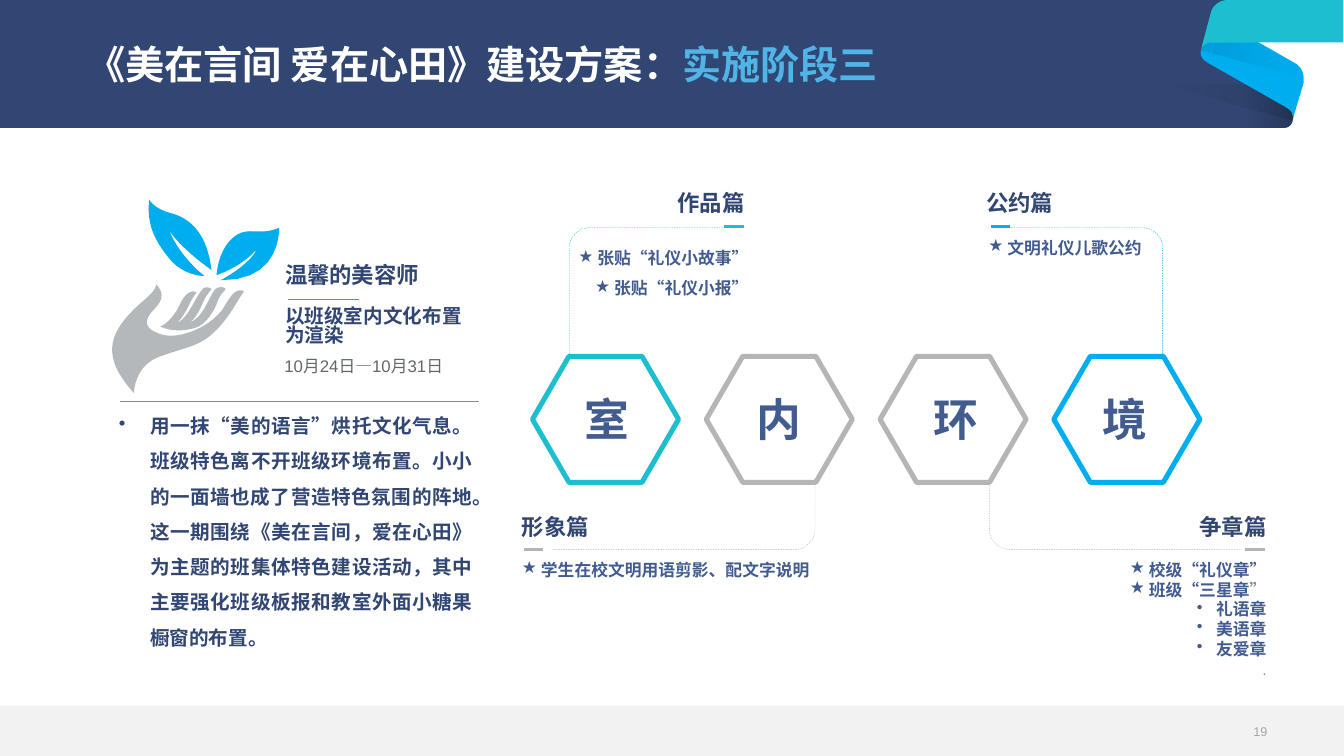
import pptx
import pptx.util
import pptx.dml.color
import pptx.enum.dml
import pptx.enum.lang
import pptx.enum.shapes
import pptx.enum.text
import pptx.oxml.ns
from lxml import etree

Inches, Pt = pptx.util.Inches, pptx.util.Pt
RGBColor = pptx.dml.color.RGBColor
Align, Anchor = pptx.enum.text.PP_ALIGN, pptx.enum.text.MSO_ANCHOR
qn = pptx.oxml.ns.qn

NAVY = RGBColor(0x31, 0x46, 0x72)
INDIGO = RGBColor(0x42, 0x5C, 0x90)
BLUE = RGBColor(0x00, 0xAD, 0xEF)
SKY = RGBColor(0x50, 0xB4, 0xE7)
TEAL = RGBColor(0x1D, 0xBE, 0xD0)
SILVER = RGBColor(0xB5, 0xB5, 0xB5)
GREY = RGBColor(0x85, 0x89, 0x8F)
DATE_GREY = RGBColor(0x63, 0x67, 0x6C)
PAGE_GREY = RGBColor(0xA6, 0xA6, 0xA6)
FOOTER_GREY = RGBColor(0xF2, 0xF2, 0xF2)
WHITE = RGBColor(0xFF, 0xFF, 0xFF)
BLACK = RGBColor(0, 0, 0)

# Outlines in inches: M start, L line, C cubic curve. Each has a colour and its opacity,
# one value for a solid fill and two for a gradient.
BANNER = [
    ("M 0 0 L 12.43 0 L 12.43 0.72 L 12.79 1.08 C 12.83 1.11 12.84 1.15 12.83 1.2 "
     "C 12.82 1.24 12.79 1.27 12.74 1.27 L 0 1.27", NAVY, [100]),
    ("M 11.97 0.61 L 12 0.63 L 12.79 1.08 C 12.83 1.11 12.84 1.15 12.83 1.2 L 12.85 1.12 "
     "L 12.94 0.82 L 12.94 0.78 C 12.94 0.72 12.91 0.66 12.86 0.63 L 12.44 0.39 L 12.02 0.41 "
     "C 11.97 0.41 11.93 0.46 11.92 0.5 C 11.91 0.54 11.93 0.59 11.97 0.61", BLUE, [100]),
    ("M 11.92 0.5 C 11.93 0.46 11.97 0.42 12.02 0.42 L 13.33 0.42 L 13.33 0 L 12.19 0 "
     "C 12.11 0 12.04 0.05 12.02 0.12 L 11.94 0.42", TEAL, [100]),
    ("M 12.37 0.84 L 12.37 1.27 L 12.74 1.27 C 12.79 1.27 12.82 1.24 12.83 1.2 "
     "C 12.84 1.15 12.83 1.11 12.79 1.08", BLACK, [0, 20]),
    ("M 11.52 0.84 L 12.83 1.2 C 12.84 1.15 12.83 1.11 12.79 1.08 L 12.37 0.84", BLACK, [0, 10]),
    ("M 11.92 0.5 L 12.94 0.77 C 12.94 0.72 12.91 0.66 12.86 0.63 L 12.5 0.43 L 12.02 0.43 "
     "C 11.97 0.43 11.93 0.46 11.92 0.5", BLACK, [10, 0]),
]
HAND_AND_LEAVES = [
    ("M 2.15 2.73 C 2.15 2.73 2.16 2.49 2.31 2.36 C 2.46 2.23 2.57 2.35 2.77 2.26 "
     "C 2.77 2.26 2.8 2.79 2.19 2.78 C 2.19 2.78 2.48 2.63 2.55 2.47 "
     "C 2.55 2.47 2.43 2.63 2.15 2.73", BLUE, [100]),
    ("M 2.03 2.74 C 2.03 2.74 1.8 2.74 1.66 2.54 C 1.51 2.35 1.46 2.2 1.48 1.98 "
     "C 1.48 1.98 1.53 2.07 1.68 2.11 C 1.84 2.15 2.05 2.26 2.1 2.68 "
     "C 2.1 2.68 1.81 2.48 1.68 2.29 C 1.68 2.29 1.77 2.53 2.03 2.74", BLUE, [100]),
    ("M 1.55 2.82 C 1.55 2.82 1.56 2.87 1.44 2.97 C 1.33 3.06 1.15 3.23 1.12 3.4 "
     "C 1.09 3.57 1.17 3.72 1.33 3.9 C 1.33 3.9 1.33 3.63 1.58 3.54 "
     "C 1.82 3.45 1.98 3.44 2.12 3.3 C 2.27 3.17 2.38 2.94 2.41 2.91 "
     "C 2.44 2.88 2.39 2.87 2.35 2.89 C 2.31 2.9 2.25 3 2.21 3.07 "
     "C 2.16 3.13 2.08 3.22 1.9 3.29 C 1.71 3.36 1.59 3.33 1.5 3.27 "
     "C 1.41 3.2 1.49 3.11 1.53 3.07 C 1.56 3.03 1.67 2.94 1.55 2.82", GREY, [60]),
    ("M 1.59 3.24 C 1.59 3.24 1.7 3.2 1.78 3.03 C 1.86 2.86 1.93 2.89 1.95 2.9 "
     "C 1.95 2.9 1.9 2.97 1.87 3.04 C 1.84 3.1 1.79 3.18 1.75 3.21 "
     "C 1.75 3.21 1.82 3.18 1.88 3.08 C 1.94 2.98 1.99 2.88 2.02 2.86 "
     "C 2.05 2.84 2.1 2.86 2.1 2.87 C 2.1 2.87 2.05 2.92 2.02 2.99 "
     "C 1.99 3.06 1.94 3.17 1.87 3.21 C 1.87 3.21 1.96 3.17 2.01 3.09 "
     "C 2.06 3.02 2.11 2.88 2.15 2.86 C 2.19 2.84 2.23 2.85 2.24 2.87 "
     "C 2.24 2.87 2.18 2.93 2.16 2.99 C 2.14 3.05 2.07 3.19 1.97 3.24 "
     "C 1.88 3.28 1.72 3.3 1.59 3.24", GREY, [60]),
]
# character, its left edge, hexagon colour
HEXAGONS = [("室", 5.7, TEAL), ("内", 7.41, SILVER), ("环", 9.17, SILVER), ("境", 10.85, BLUE)]
HEXAGON_LEFT, HEXAGON_TOP, HEXAGON_PITCH = 5.26, 3.51, 1.725
HEXAGON_WIDTH, HEXAGON_HEIGHT, HEXAGON_STROKE = 1.5, 1.3, 0.05
# far end x, rule y, bend x, hexagon y, colour
BRACKETS = [(5.49, 5.45, 8.09, 4.8, SILVER), (12.31, 5.45, 9.82, 4.8, SILVER),
            (9.84, 2.26, 11.54, 3.53, BLUE), (7.35, 2.26, 5.65, 3.53, TEAL)]
# left, right, y, colour, points
RULES = [(7.19, 7.38, 2.25, TEAL, 2), (9.84, 10.03, 2.25, BLUE, 2), (5.2, 5.39, 5.45, SILVER, 2),
         (12.36, 12.56, 5.45, SILVER, 2), (2.86, 3.56, 2.97, BLUE, 0.25),
         (1.19, 4.75, 3.98, GREY, 0.25)]
# heading, its box, alignment, items as (bullet, runs), their box, line spacing
CHAPTERS = [
    ("作品篇", (5.93, 1.88, 1.46, 0.27), Align.RIGHT,
     [("★", ["张贴“礼仪小故事”"]), ("★", ["张贴“礼仪小报”"])], (5.66, 2.36, 1.77, 0.6), 1.5),
    ("公约篇", (9.79, 1.88, 1.94, 0.27), Align.LEFT,
     [("★", ["文明礼仪儿歌公约"])], (9.81, 2.36, 1.75, 0.19), Pt(14)),
    ("形象篇", (5.18, 5.09, 1.94, 0.27), Align.LEFT,
     [("★", ["学生在校文明用语剪影、配文字说明"])], (5.18, 5.56, 2.87, 0.19), Pt(14)),
    ("争章篇", (10.63, 5.09, 1.94, 0.27), Align.RIGHT,
     [("★", ["校级“礼仪章”"]), ("★", ["班级“三星章", ("”", {"color": GREY})]),
      ("•", ["礼语章"]), ("•", ["美语章"]), ("•", ["友爱章"]),
      ("", [(".", {"color": GREY, "size": 10, "bold": False})])],
     (10.75, 5.56, 1.82, 1.16), Pt(14)),
]
TITLE = ["《美在言间 爱在心田》建设方案：", ("实施阶段三", {"color": SKY})]
PLAN = ("用一抹“美的语言”烘托文化气息。班级特色离不开班级环境布置。小小的一面墙也成了营造特色氛围的阵地。"
        "这一期围绕《美在言间，爱在心田》为主题的班集体特色建设活动，其中主要强化班级板报和教室外面小糖果橱窗的布置。")


def add_text(box, lines, size, color, bold=True, align=Align.LEFT, anchor=Anchor.TOP,
             spacing=None, indent=0, margins=(0, 0), wrap=True, fill=None):
    """Lines are (bullet, runs); a run is a string or (string, format overrides)."""
    shape = slide.shapes.add_textbox(*map(Inches, box))
    if fill is not None:
        shape.fill.solid()
        shape.fill.fore_color.rgb = fill
    frame = shape.text_frame
    frame.word_wrap = wrap
    frame.vertical_anchor = anchor
    frame.margin_left = frame.margin_right = Inches(margins[0])
    frame.margin_top = frame.margin_bottom = Inches(margins[1])
    for index, (bullet, runs) in enumerate(lines):
        paragraph = frame.add_paragraph() if index else frame.paragraphs[0]
        paragraph.alignment = align
        if spacing is not None:
            paragraph.line_spacing = spacing
        if indent:
            properties = paragraph._p.get_or_add_pPr()
            properties.set("marL", str(Inches(indent)))
            properties.set("indent", str(-Inches(indent)))
            if bullet:
                bullet_color = etree.SubElement(properties, qn("a:buClr"))
                etree.SubElement(bullet_color, qn("a:srgbClr"), val=str(color))
                etree.SubElement(properties, qn("a:buChar"), char=bullet)
        for item in runs:
            text, changes = (item, {}) if isinstance(item, str) else item
            run = paragraph.add_run()
            run.text = text
            run.font.name = "Arial"
            run.font.language_id = pptx.enum.lang.MSO_LANGUAGE_ID.SIMPLIFIED_CHINESE
            run.font.size = Pt(changes.get("size", size))
            run.font.bold = changes.get("bold", bold)
            run.font.color.rgb = changes.get("color", color)


def outline_points(outline):
    """Turn M, L and C commands into points, with ten steps to a curve."""
    points = []
    for command in outline.replace("L", "|L").replace("C", "|C").split("|"):
        values = [float(value) for value in command.split()[1:]]
        pairs = list(zip(values[::2], values[1::2]))
        if command.startswith("C"):
            corners = list(zip(points[-1], *pairs))
            for step in range(1, 11):
                t = step / 10
                weights = ((1 - t) ** 3, 3 * t * (1 - t) ** 2, 3 * t * t * (1 - t), t ** 3)
                points.append(tuple(sum(w * c for w, c in zip(weights, axis)) for axis in corners))
        else:
            points += pairs
    return points


def add_outline(outline, close):
    start, *rest = [(Inches(x), Inches(y)) for x, y in outline_points(outline)]
    builder = slide.shapes.build_freeform(*start)
    builder.add_line_segments(rest, close=close)
    shape = builder.convert_to_shape()
    shape.shadow.inherit = False
    return shape


def add_filled(outline, color, opacities):
    shape = add_outline(outline, close=True)
    shape.line.fill.background()
    if len(opacities) == 1:
        shape.fill.solid()
        shape.fill.fore_color.rgb = color
    else:
        shape.fill.gradient()
        shape.fill.gradient_angle = 0
        for stop in shape.fill.gradient_stops:
            stop.color.rgb = color
    for element, opacity in zip(shape._element.spPr.iter(qn("a:srgbClr")), opacities):
        if opacity < 100:
            etree.SubElement(element, qn("a:alpha"), val=str(opacity * 1000))


def add_bracket(far, rule, bend, end, color, radius=0.19):
    x = bend + (radius if far > bend else -radius)
    y = rule + (radius if end > rule else -radius)
    shape = add_outline(f"M {far} {rule} L {x} {rule} C {(x + bend) / 2} {rule} "
                        f"{bend} {(y + rule) / 2} {bend} {y} L {bend} {end}", close=False)
    shape.fill.background()
    shape.line.color.rgb = color
    shape.line.width = Pt(0.25)
    shape.line.dash_style = pptx.enum.dml.MSO_LINE.DASH


def add_rule(left, right, y, color, width):
    rule = slide.shapes.add_connector(pptx.enum.shapes.MSO_CONNECTOR.STRAIGHT,
                                      Inches(left), Inches(y), Inches(right), Inches(y))
    rule.line.color.rgb = color
    rule.line.width = Pt(width)
    etree.SubElement(rule._element.spPr, qn("a:effectLst"))


def add_preset(kind, left, top, width, height):
    shape = slide.shapes.add_shape(kind, *map(Inches, (left, top, width, height)))
    shape.shadow.inherit = False
    return shape


presentation = pptx.Presentation()
presentation.slide_width, presentation.slide_height = Inches(13.34), Inches(7.5)
slide = presentation.slides.add_slide(presentation.slide_layouts[6])
Preset = pptx.enum.shapes.MSO_SHAPE

for part in BANNER + HAND_AND_LEAVES:
    add_filled(*part)
footer = add_preset(Preset.RECTANGLE, 0, 7, 13.34, 0.5)
footer.fill.solid()
footer.fill.fore_color.rgb = FOOTER_GREY
footer.line.fill.background()
for bracket in BRACKETS:
    add_bracket(*bracket)
for rule in RULES:
    add_rule(*rule)

for index, (character, text_left, color) in enumerate(HEXAGONS):
    hexagon = add_preset(Preset.HEXAGON, HEXAGON_LEFT + index * HEXAGON_PITCH + HEXAGON_STROKE / 2,
                         HEXAGON_TOP + HEXAGON_STROKE / 2, HEXAGON_WIDTH - HEXAGON_STROKE,
                         HEXAGON_HEIGHT - HEXAGON_STROKE)
    hexagon.adjustments[0] = 0.29
    hexagon.fill.background()
    hexagon.line.color.rgb = color
    hexagon.line.width = Inches(HEXAGON_STROKE)
    add_text((text_left, 3.84, 0.64, 0.64), [("", [character])], 32, INDIGO,
             margins=(0.1, 0.05), wrap=False)

for heading, heading_box, align, items, items_box, spacing in CHAPTERS:
    add_text(heading_box, [("", [heading])], 16, NAVY, align=align)
    add_text(items_box, items, 12, INDIGO, align=align, spacing=spacing, indent=0.19)

add_text((0.76, 0.06, 11.81, 1.2), [("", TITLE)], 28, WHITE, anchor=Anchor.MIDDLE,
         spacing=0.9, margins=(0.1, 0.05))
add_text((2.83, 2.59, 1.93, 0.27), [("", ["温馨的美容师"])], 16, NAVY)
add_text((2.83, 3.05, 1.81, 0.39), [("", ["以班级室内文化布置为渲染"])], 14, NAVY, spacing=Pt(14))
add_text((2.72, 3.44, 1.78, 0.39), [("", ["10月24日—10月31日"])], 12, DATE_GREY, bold=False,
         align=Align.CENTER, anchor=Anchor.MIDDLE, spacing=Pt(14), fill=WHITE)
add_text((1.18, 3.99, 3.51, 2.45), [("•", [PLAN])], 14, NAVY, align=Align.JUSTIFY,
         spacing=1.5, indent=0.31)
add_text((11.95, 7.13, 0.63, 0.26), [("", ["19"])], 9, PAGE_GREY, bold=False,
         align=Align.RIGHT, anchor=Anchor.MIDDLE)

presentation.save("out.pptx")
